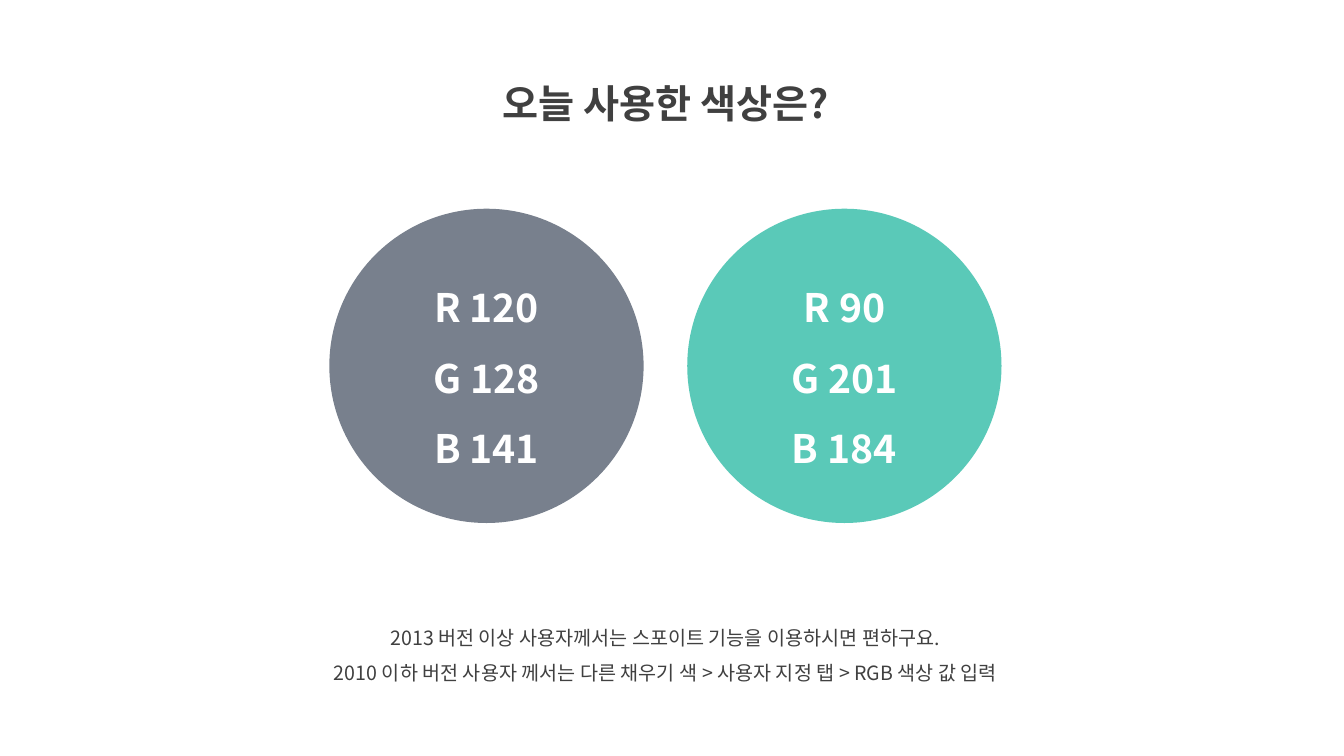
"""Build a slide that shows the two colours used today with their RGB values."""
import dataclasses

import lxml.etree
import pptx
import pptx.dml.color
import pptx.enum.shapes
import pptx.enum.text
import pptx.oxml.ns
import pptx.shapes.autoshape
import pptx.slide
import pptx.util

Cm = pptx.util.Cm


@dataclasses.dataclass(frozen=True)
class Theme:
    """Font, colours and type sizes of the slide."""

    font: str = "Noto Sans CJK KR"
    ink: tuple[int, int, int] = (64, 64, 64)
    white: tuple[int, int, int] = (255, 255, 255)
    large: int = 28
    small: int = 14
    line_spacing: float = 1.5


@dataclasses.dataclass(frozen=True)
class TextBlock:
    """Text and geometry (in centimetres) of a centred block."""

    text: str
    top: float
    width: float
    height: float


THEME = Theme()
CENTRE = 16.77
CIRCLE_TOP, DIAMETER, CIRCLE_GAP = 5.26, 7.92, 1.1

TITLE = TextBlock("오늘 사용한 색상은?", 1.27, 11.76, 1.83)
NOTE = TextBlock(
    "2013 버전 이상 사용자께서는 스포이트 기능을 이용하시면 편하구요.\n"
    "2010 이하 버전 사용자 께서는 다른 채우기 색 > 사용자 지정 탭 > RGB 색상 값 입력",
    15.34, 20.29, 2.06,
)
SWATCHES = [(120, 128, 141), (90, 201, 184)]


def format_text(
    shape: pptx.shapes.autoshape.Shape,
    size: int,
    colour: tuple[int, int, int],
    bold: bool,
    anchor: pptx.enum.text.MSO_ANCHOR,
) -> None:
    """Centre the text of a shape and style every run."""
    frame = shape.text_frame
    frame.word_wrap = True
    frame.auto_size = pptx.enum.text.MSO_AUTO_SIZE.NONE
    frame.vertical_anchor = anchor
    for paragraph in frame.paragraphs:
        paragraph.alignment = pptx.enum.text.PP_ALIGN.CENTER
        paragraph.line_spacing = THEME.line_spacing
        for run in paragraph.runs:
            run.font.size = pptx.util.Pt(size)
            run.font.bold = bold
            run.font.color.rgb = pptx.dml.color.RGBColor(*colour)
            run.font.name = THEME.font
            east_asian = lxml.etree.SubElement(
                run.font._element, pptx.oxml.ns.qn("a:ea")
            )
            east_asian.set("typeface", THEME.font)


def fill_block(
    shape: pptx.shapes.autoshape.Shape, block: TextBlock, size: int, bold: bool
) -> None:
    """Place a text block around the centre line and write its text."""
    shape.left, shape.top = Cm(CENTRE - block.width / 2), Cm(block.top)
    shape.width, shape.height = Cm(block.width), Cm(block.height)
    shape.text_frame.text = block.text
    format_text(shape, size, THEME.ink, bold, pptx.enum.text.MSO_ANCHOR.TOP)


def add_swatch(
    slide: pptx.slide.Slide, left: float, colour: tuple[int, int, int]
) -> None:
    """Draw a circle in a colour, labelled with its RGB values."""
    circle = slide.shapes.add_shape(
        pptx.enum.shapes.MSO_SHAPE.OVAL,
        Cm(left), Cm(CIRCLE_TOP), Cm(DIAMETER), Cm(DIAMETER),
    )
    circle.shadow.inherit = False
    circle.fill.solid()
    circle.fill.fore_color.rgb = pptx.dml.color.RGBColor(*colour)
    circle.line.fill.background()
    circle.text_frame.text = "\n".join(
        f"{channel} {value}" for channel, value in zip("RGB", colour)
    )
    format_text(
        circle, THEME.large, THEME.white, True, pptx.enum.text.MSO_ANCHOR.MIDDLE
    )


def main() -> None:
    """Build and save the presentation."""
    presentation = pptx.Presentation()
    presentation.slide_width, presentation.slide_height = Cm(33.87), Cm(19.05)
    slide = presentation.slides.add_slide(presentation.slide_layouts[5])

    fill_block(slide.shapes.title, TITLE, THEME.large, True)
    note = slide.shapes.add_textbox(0, 0, 0, 0)
    fill_block(note, NOTE, THEME.small, False)

    step = DIAMETER + CIRCLE_GAP
    first_left = CENTRE - (len(SWATCHES) * step - CIRCLE_GAP) / 2
    for index, colour in enumerate(SWATCHES):
        add_swatch(slide, first_left + index * step, colour)

    presentation.save("out.pptx")


main()
